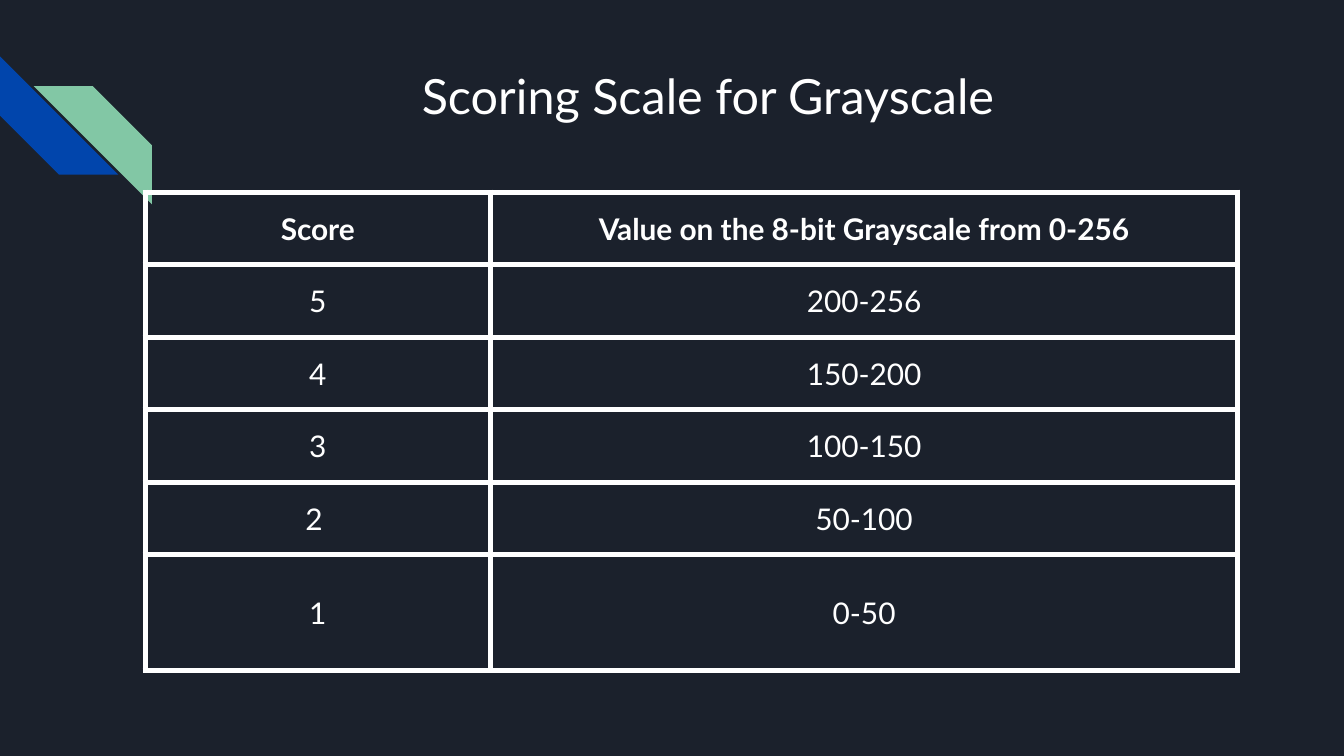
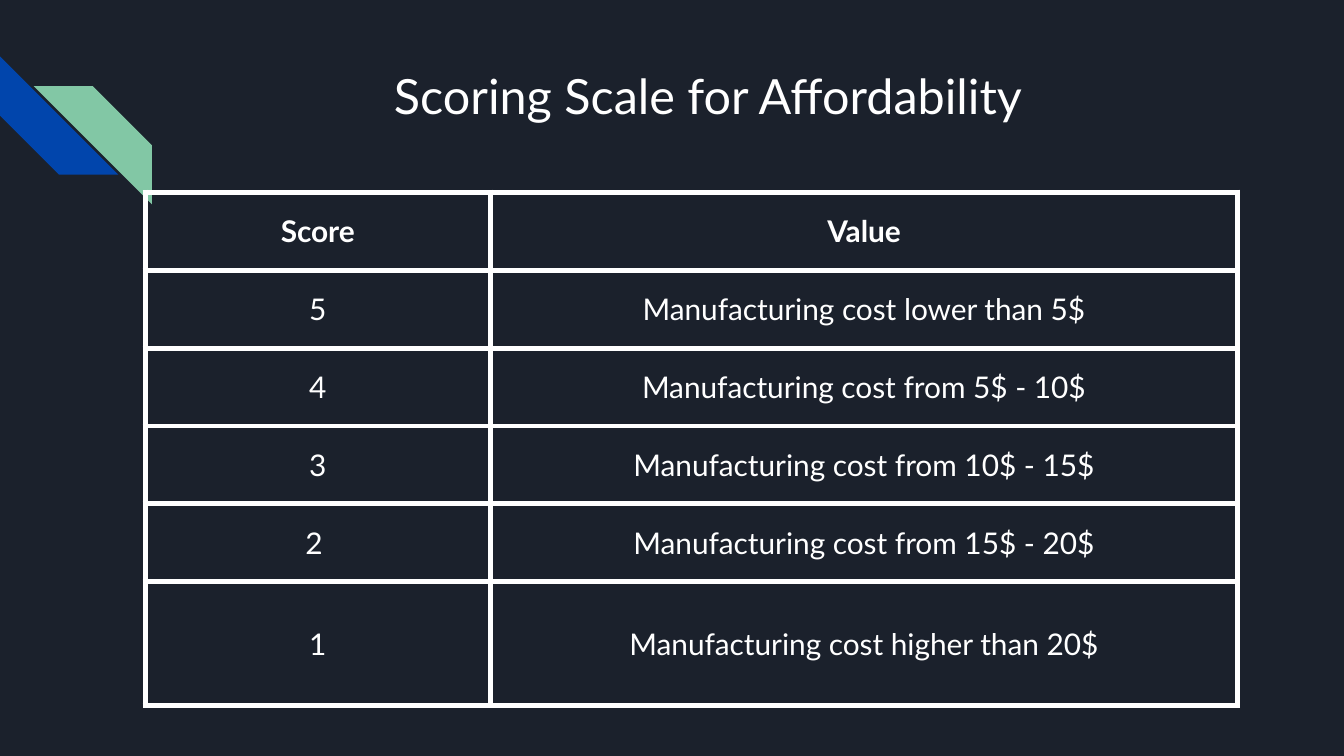
import pptx
import pptx.dml.color
import pptx.enum.shapes
import pptx.enum.text
import pptx.oxml
import pptx.oxml.ns
import pptx.util

Inches = pptx.util.Inches
MIDDLE = pptx.enum.text.MSO_ANCHOR.MIDDLE
CENTER = pptx.enum.text.PP_ALIGN.CENTER

DARK, BLUE, GREEN, WHITE = "1B212C", "0145AC", "82C7A5", "FFFFFF"
FONT = "Lato"
SCORES = ["5", "4", "3", "2 ", "1"]
SLIDES = [
    {
        "title": "Scoring Scale for Grayscale",
        "head": "Value on the 8-bit Grayscale from 0-256",
        "values": ["200-256", "150-200", "100-150", "50-100", "0-50"],
        "rows": (0.54, 0.86),
    },
    {
        "title": "Scoring Scale for Affordability",
        "head": "Value",
        "values": [
            "Manufacturing cost lower than 5$",
            "Manufacturing cost from 5$ - 10$",
            "Manufacturing cost from 10$ - 15$",
            "Manufacturing cost from 15$ - 20$",
            "Manufacturing cost higher than 20$",
        ],
        "rows": (0.58, 0.92),
    },
]
STRIPES = [(0, 0.42, 270, BLUE), (0.25, 0.64, 90, GREEN)]
STRIPE_SIZE = 0.88
TITLE_BOX = {"left": 1.42, "top": 0.21, "width": 7.7, "height": 1}
TABLE_LEFT, TABLE_TOP = 1.08, 1.43
COLS = (2.57, 5.56)
SIDES = ("left", "top", "right", "bottom")


def rgb(code):
    return pptx.dml.color.RGBColor.from_string(code)


def paint(fill, code):
    fill.solid()
    fill.fore_color.rgb = rgb(code)


def inset(part, gap):
    for side in SIDES:
        setattr(part, f"margin_{side}", Inches(gap))
    part.vertical_anchor = MIDDLE


def write(frame, text, size, bold=False):
    line = frame.paragraphs[0]
    line.alignment = CENTER
    run = line.add_run()
    run.text = text
    style = {"name": FONT, "size": pptx.util.Pt(size), "bold": bold}
    for key, value in style.items():
        setattr(run.font, key, value)
    run.font.color.rgb = rgb(WHITE)


def edge(cell, width=3):
    """Draw a white border on all four sides of a cell."""
    props = cell._tc.get_or_add_tcPr()
    for side in "LRTB":
        props.append(pptx.oxml.parse_xml(
            f'<a:ln{side} {pptx.oxml.ns.nsdecls("a")} w="{pptx.util.Pt(width)}">'
            f'<a:solidFill><a:srgbClr val="{WHITE}"/></a:solidFill></a:ln{side}>'))


def add_stripes(slide):
    kind = pptx.enum.shapes.MSO_SHAPE.DIAGONAL_STRIPE
    size = Inches(STRIPE_SIZE)
    for left, top, turn, code in STRIPES:
        shape = slide.shapes.add_shape(kind, Inches(left), Inches(top), size, size)
        shape.adjustments[0] = 0.5
        shape.rotation = turn
        shape.shadow.inherit = False
        paint(shape.fill, code)
        shape.line.fill.background()


def add_title(slide, text):
    title = slide.shapes.title
    for key, value in TITLE_BOX.items():
        setattr(title, key, Inches(value))
    frame = title.text_frame
    frame.word_wrap = True
    frame.auto_size = pptx.enum.text.MSO_AUTO_SIZE.NONE
    inset(frame, 0.1)
    write(frame, text, 26)


def add_scale(slide, data):
    cells = [("Score", data["head"]), *zip(SCORES, data["values"])]
    high, last = data["rows"]
    heights = [high] * (len(cells) - 1) + [last]
    table = slide.shapes.add_table(
        len(cells), len(COLS), Inches(TABLE_LEFT), Inches(TABLE_TOP),
        Inches(sum(COLS)), Inches(sum(heights))).table
    table.horz_banding = False
    for col, width in zip(table.columns, COLS):
        col.width = Inches(width)
    for r, (texts, height) in enumerate(zip(cells, heights)):
        table.rows[r].height = Inches(height)
        for c, text in enumerate(texts):
            cell = table.cell(r, c)
            inset(cell, 0.07)
            edge(cell)
            cell.fill.background()
            write(cell.text_frame, text, 16, bold=r == 0)


def main():
    deck = pptx.Presentation()
    deck.slide_width = Inches(10)
    deck.slide_height = deck.slide_width * 9 // 16
    paint(deck.slide_master.background.fill, DARK)
    for data in SLIDES:
        slide = deck.slides.add_slide(deck.slide_layouts[5])
        add_stripes(slide)
        add_title(slide, data["title"])
        add_scale(slide, data)
    deck.save("out.pptx")


if __name__ == "__main__":
    main()
